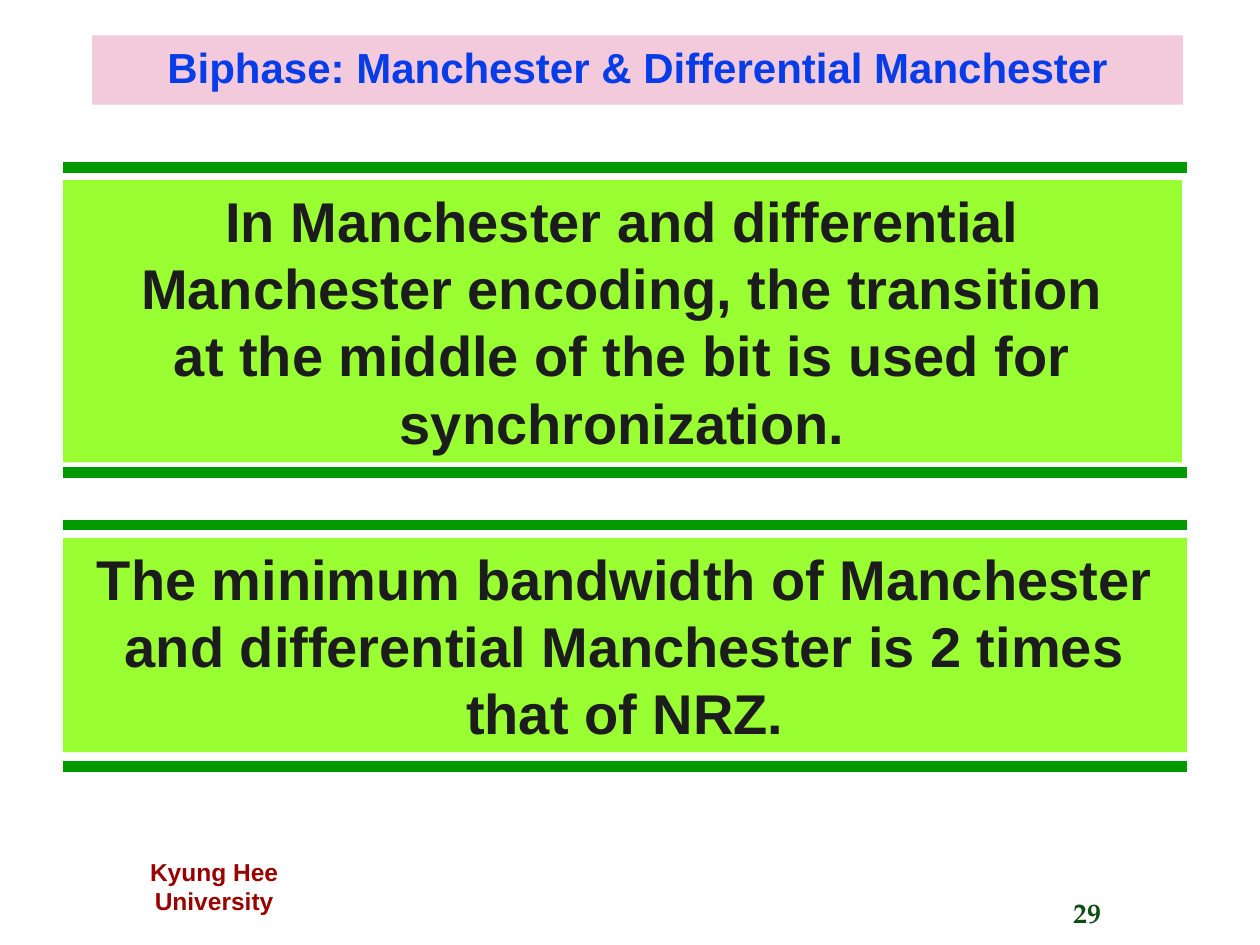
import pptx
import pptx.dml.color
import pptx.enum.shapes
import pptx.enum.text
import pptx.oxml
import pptx.oxml.ns
import pptx.util

Pt = pptx.util.Pt
ANCHOR = pptx.enum.text.MSO_ANCHOR
ALIGN = pptx.enum.text.PP_ALIGN
COLORS = {
    "title": "063DE8",
    "title_band": "F2CADC",
    "rule": "009900",
    "panel": "99FF33",
    "statement": "1C1C1C",
    "university": "990000",
    "number": "0F4D13",
}


def rgb(key):
    return pptx.dml.color.RGBColor.from_string(COLORS[key])


def write(shape, lines, size, color, anchor=ANCHOR.TOP, align=ALIGN.CENTER, font="Arial"):
    frame = shape.text_frame
    frame.word_wrap = True
    frame.auto_size = pptx.enum.text.MSO_AUTO_SIZE.NONE
    frame.vertical_anchor = anchor
    for index, line in enumerate(lines):
        paragraph = frame.add_paragraph() if index else frame.paragraphs[0]
        paragraph.alignment = align
        run = paragraph.add_run()
        run.text = line
        run.font.name = font
        run.font.size = Pt(size)
        run.font.bold = True
        run.font.color.rgb = rgb(color)


deck = pptx.Presentation()
deck.slide_width, deck.slide_height = Pt(720), Pt(540)
slide = deck.slides.add_slide(deck.slide_layouts[5])

title = slide.shapes.title
title.left, title.top, title.width, title.height = Pt(52.6), Pt(20.2), Pt(623.5), Pt(39.6)
title.fill.solid()
title.fill.fore_color.rgb = rgb("title_band")
write(title, ["Biphase: Manchester & Differential Manchester"], 24, "title", ANCHOR.MIDDLE)
title.text_frame.paragraphs[0].line_spacing = 0.9

left, right = 36, 678.2
statements = [
    (95.8, 270, 103, 639.4, 161.3, [
        "In Manchester and differential Manchester encoding, the transition",
        "at the middle of the bit is used for synchronization.",
    ]),
    (300, 438, 307.4, 642.2, 122.4, [
        "The minimum bandwidth of Manchester and differential Manchester is 2 times that of NRZ.",
    ]),
]
for upper, lower, top, width, height, lines in statements:
    for y in (upper, lower):
        rule = slide.shapes.add_connector(
            pptx.enum.shapes.MSO_CONNECTOR.STRAIGHT, Pt(left), Pt(y), Pt(right), Pt(y))
        rule.line.color.rgb = rgb("rule")
        rule.line.width = Pt(6)
        rule._element.spPr.append(pptx.oxml.parse_xml(
            f'<a:effectLst {pptx.oxml.ns.nsdecls("a")}/>'))
    panel = slide.shapes.add_shape(
        pptx.enum.shapes.MSO_SHAPE.RECTANGLE, Pt(left), Pt(top), Pt(width), Pt(height))
    panel.shadow.inherit = False
    panel.fill.solid()
    panel.fill.fore_color.rgb = rgb("panel")
    panel.line.fill.background()
    write(panel, lines, 32, "statement")

university = slide.shapes.add_textbox(Pt(49.7), Pt(486), Pt(145.4), Pt(41))
write(university, ["Kyung Hee University"], 14, "university")

page_number = slide.shapes.add_textbox(Pt(606.2), Pt(508.3), Pt(99.4), Pt(30.2))
write(page_number, ["29"], 16, "number", align=ALIGN.LEFT, font="TeX Gyre Pagella")

deck.save("out.pptx")
